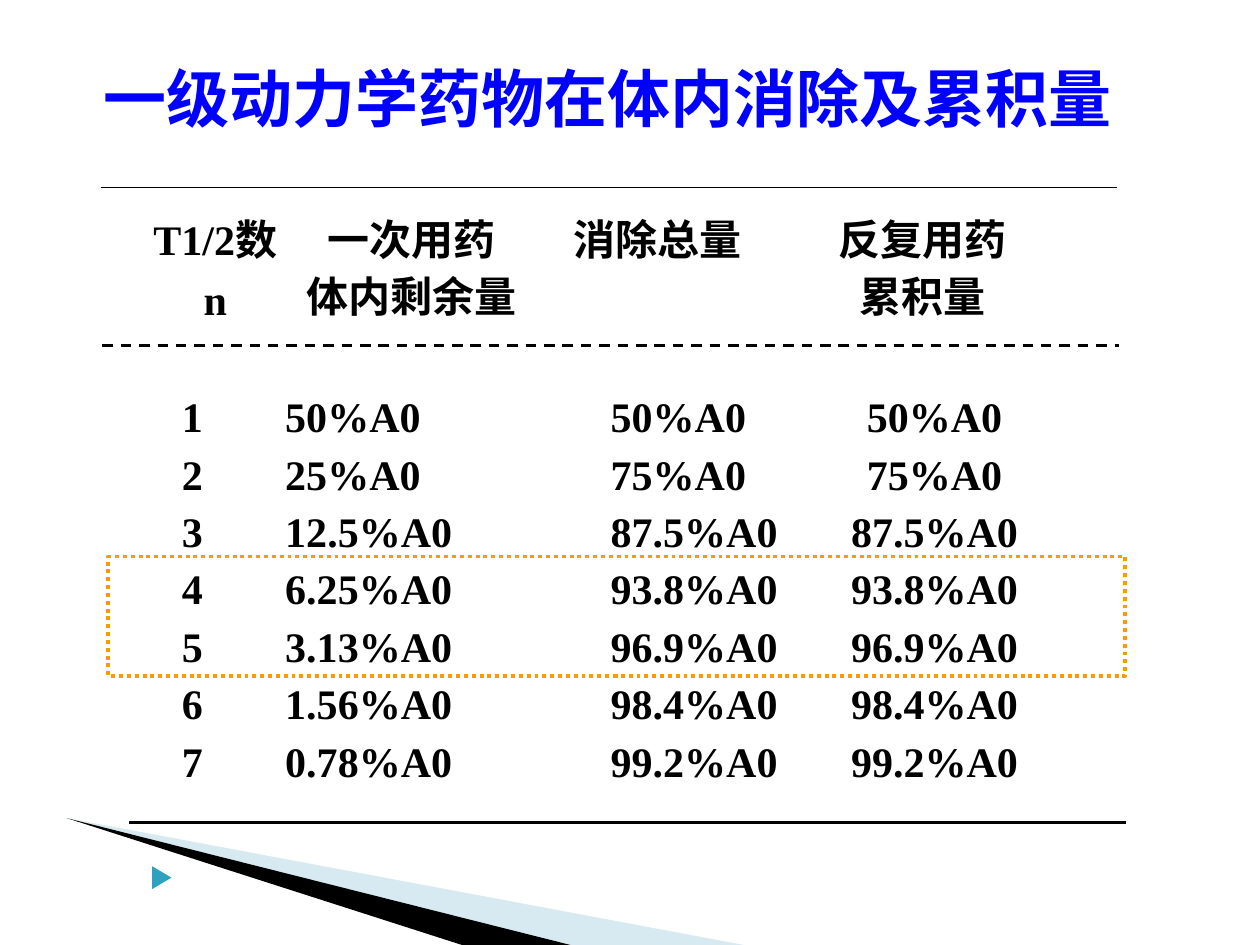
"""Build a slide tabulating elimination and accumulation of first-order drugs."""
from typing import NamedTuple, Optional

from lxml import etree
from pptx import Presentation, util as u
from pptx.dml.color import RGBColor
from pptx.enum import dml, shapes, text
from pptx.oxml import ns

Pt = u.Pt
BLACK = RGBColor(0x00, 0x00, 0x00)
BLUE = RGBColor(0x00, 0x00, 0xFF)
PALE_BLUE = RGBColor(0x9F, 0xCB, 0xDC)
TEAL = RGBColor(0x2D, 0xA2, 0xBF)
ORANGE = RGBColor(0xFF, 0x99, 0x00)
LEFT, CENTER = text.PP_ALIGN.LEFT, text.PP_ALIGN.CENTER


class Column(NamedTuple):
    heading: str
    width: float
    indent: float
    alignment: text.PP_ALIGN
    values: tuple


class Rule(NamedTuple):
    left: float
    right: float
    top: float
    weight: float
    dash: Optional[dml.MSO_LINE] = None


class Polygon(NamedTuple):
    points: tuple
    color: RGBColor
    opacity: int = 100


TOTALS = ("50%A0", "75%A0", "87.5%A0", "93.8%A0", "96.9%A0", "98.4%A0", "99.2%A0")
REMAINDERS = ("50%A0", "25%A0", "12.5%A0", "6.25%A0", "3.13%A0", "1.56%A0", "0.78%A0")
COLUMNS = (
    Column("T1/2数\nn", 80, 21, LEFT, tuple("1234567")),
    Column("一次用药\n体内剩余量", 144, 0, LEFT, REMAINDERS),
    Column("消除总量", 138, 42, LEFT, TOTALS),
    Column("反复用药\n累积量", 164, 14, CENTER, TOTALS),
)
RULES = (
    Rule(57.5, 638.5, 107, 0.75),
    Rule(74, 643.5, 470, 1.5),
    Rule(58.5, 639.5, 197.6, 1.5, dml.MSO_LINE.DASH),
)
POLYGONS = (
    Polygon(((38, 467.5), (425, 540), (326, 540)), PALE_BLUE, 40),
    Polygon(((38, 467.5), (326, 540), (264, 540)), BLACK),
    Polygon(((87, 495), (98, 501.5), (87, 508)), TEAL),
)
TABLE_LEFT, TABLE_TOP = 83, 120
HEADER_HEIGHT, ROW_HEIGHT = 102.8, 32.8


def write_text(frame, content: str, *, size: float, font: str = "Times New Roman",
               color: RGBColor = BLACK, alignment=LEFT, spacing: Optional[float] = None) -> None:
    """Write each line of the content as a bold formatted paragraph."""
    for index, line in enumerate(content.split("\n")):
        paragraph = frame.add_paragraph() if index else frame.paragraphs[0]
        paragraph.text = line
        paragraph.alignment = alignment
        if spacing:
            paragraph.line_spacing = Pt(spacing)
        paragraph.font.size = Pt(size)
        paragraph.font.name = font
        paragraph.font.bold = True
        paragraph.font.color.rgb = color


def draw_polygon(slide, polygon: Polygon) -> None:
    """Draw a filled polygon without an outline."""
    start, *others = [(Pt(x), Pt(y)) for x, y in polygon.points]
    builder = slide.shapes.build_freeform(*start)
    builder.add_line_segments(others)
    shape = builder.convert_to_shape()
    shape.shadow.inherit = False
    shape.line.fill.background()
    shape.fill.solid()
    shape.fill.fore_color.rgb = polygon.color
    if polygon.opacity < 100:
        color = shape.fill._xPr.find(".//" + ns.qn("a:srgbClr"))
        etree.SubElement(color, ns.qn("a:alpha"), val=str(polygon.opacity * 1000))


def draw_rule(slide, rule: Rule) -> None:
    """Draw a horizontal black rule."""
    connector = slide.shapes.add_connector(
        shapes.MSO_CONNECTOR.STRAIGHT,
        Pt(rule.left), Pt(rule.top), Pt(rule.right), Pt(rule.top))
    connector.line.color.rgb = BLACK
    connector.line.width = Pt(rule.weight)
    if rule.dash:
        connector.line.dash_style = rule.dash
    etree.SubElement(connector._element.spPr, ns.qn("a:effectLst"))


def clear_cell(cell, indent: float = 0) -> None:
    """Remove the fill and margins of a cell, keeping a left indent."""
    cell.fill.background()
    cell.margin_left = Pt(indent)
    cell.margin_right = cell.margin_top = cell.margin_bottom = 0


def add_dose_table(slide) -> None:
    """Add the table of remaining, eliminated and accumulated amounts."""
    row_count = len(TOTALS) + 1
    table = slide.shapes.add_table(
        row_count, len(COLUMNS), Pt(TABLE_LEFT), Pt(TABLE_TOP),
        Pt(sum(column.width for column in COLUMNS)),
        Pt(HEADER_HEIGHT + ROW_HEIGHT * len(TOTALS))).table
    table.first_row = table.horz_banding = False
    for index, row in enumerate(table.rows):
        row.height = Pt(ROW_HEIGHT if index else HEADER_HEIGHT)
    for index, column in enumerate(COLUMNS):
        table.columns[index].width = Pt(column.width)
        header = table.cell(0, index)
        clear_cell(header)
        write_text(header.text_frame, column.heading, size=24,
                   alignment=CENTER, spacing=ROW_HEIGHT)
        for row, value in enumerate(column.values, start=1):
            cell = table.cell(row, index)
            clear_cell(cell, column.indent)
            cell.vertical_anchor = text.MSO_ANCHOR.MIDDLE
            write_text(cell.text_frame, value, size=24, alignment=column.alignment)


def add_highlight(slide) -> None:
    """Frame the rows of the fourth and fifth half-lives."""
    shape = slide.shapes.add_shape(
        shapes.MSO_SHAPE.RECTANGLE, Pt(62), Pt(318), Pt(581), Pt(68.5))
    shape.shadow.inherit = False
    shape.fill.background()
    shape.line.color.rgb = ORANGE
    shape.line.width = Pt(2.25)
    shape.line.dash_style = dml.MSO_LINE.ROUND_DOT


def main() -> None:
    """Build and save the presentation."""
    presentation = Presentation()
    presentation.slide_width, presentation.slide_height = Pt(720), Pt(540)
    slide = presentation.slides.add_slide(presentation.slide_layouts[5])
    title = slide.shapes.title
    title.left, title.top, title.width, title.height = Pt(52), Pt(27), Pt(614), Pt(54)
    title.text_frame.vertical_anchor = text.MSO_ANCHOR.BOTTOM
    write_text(title.text_frame, "一级动力学药物在体内消除及累积量",
               size=36, font="Noto Sans Mono", color=BLUE)
    for polygon in POLYGONS:
        draw_polygon(slide, polygon)
    add_dose_table(slide)
    for rule in RULES:
        draw_rule(slide, rule)
    add_highlight(slide)
    presentation.save("out.pptx")


if __name__ == "__main__":
    main()
